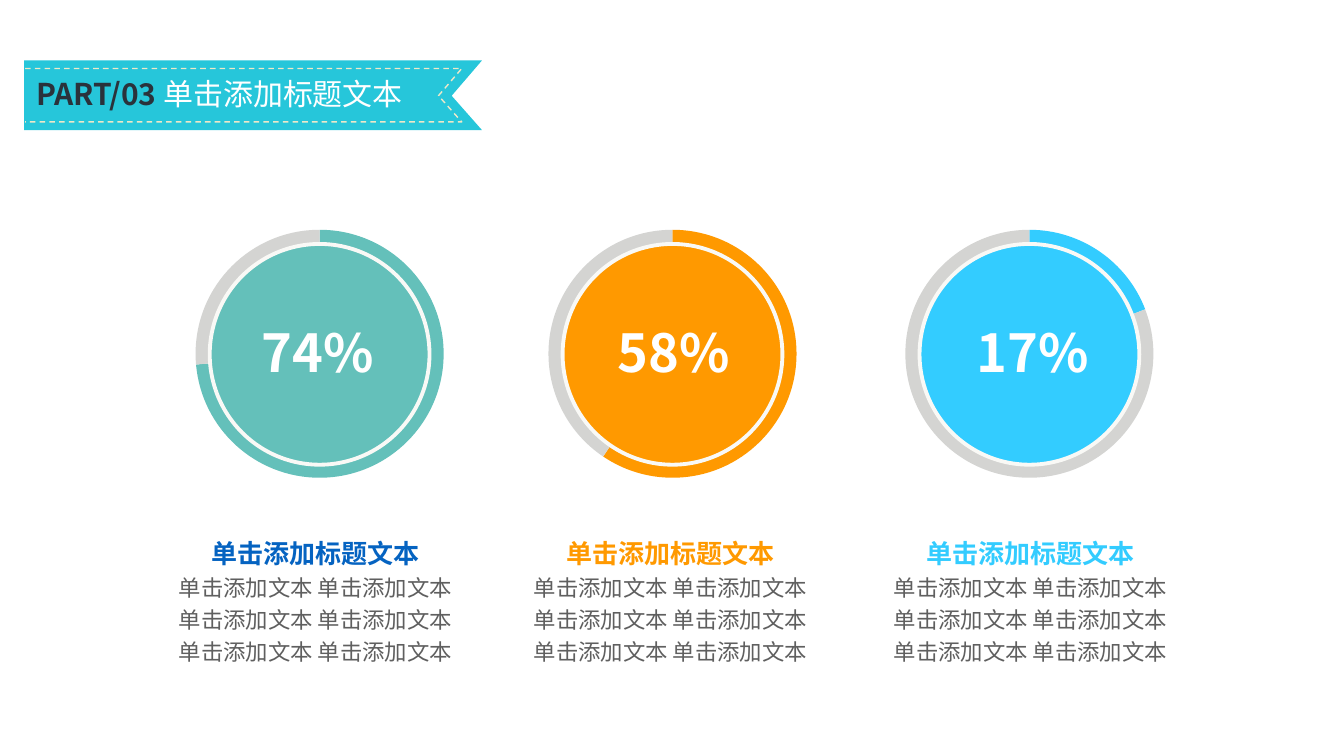
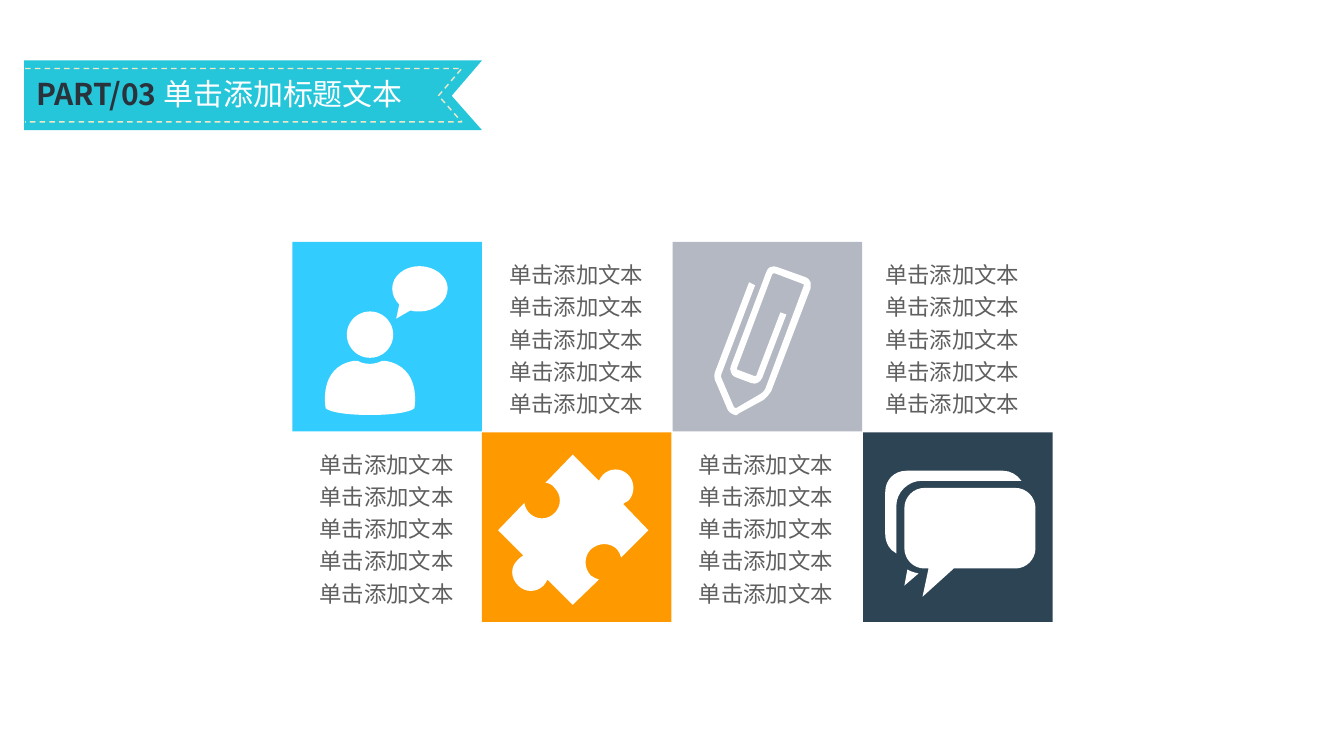
from itertools import pairwise
from math import cos, radians, sin, tan

from lxml.etree import SubElement
from pptx import Presentation
from pptx.dml.color import RGBColor
from pptx.enum.dml import MSO_LINE
from pptx.enum.shapes import MSO_SHAPE
from pptx.enum.text import MSO_ANCHOR, MSO_AUTO_SIZE, PP_ALIGN
from pptx.oxml.ns import qn
from pptx.util import Pt

PX = 9144
COLORS = {
    "ribbon": "26C6DA", "stitch": "EDE8C8", "ink": "2A323B", "white": "FFFFFF",
    "teal": "64C0BA", "orange": "FF9900", "sky": "33CCFF", "blue": "0563C1",
    "track": "D4D4D2", "rim": "F9F9F6", "body": "5F5F5F", "navy": "2D4454", "gray": "B3B8C2",
}
CJK = "Noto Sans CJK SC"
LATIN = "Arial"
TITLE = "单击添加标题文本"
LINE = "单击添加文本"

# Outlines start with a point; two numbers make a line, six make a curve.
SPEECH = [
    (416, 264), (401, 264, 389, 274, 389, 286), (389, 293, 392, 298, 396, 302),
    (393, 316), (407, 308), (410, 309, 413, 309, 416, 309),
    (431, 309, 444, 299, 444, 286), (444, 274, 431, 264, 416, 264),
]
SHOULDERS = [
    (382, 358), (379, 358), (375, 360, 371, 361, 367, 361), (362, 361, 358, 360, 355, 358),
    (351, 358), (315, 364, 323, 405, 323, 405), (332, 414, 402, 414, 411, 405),
    (411, 405, 419, 364, 382, 358),
]
PUZZLE = [
    (598, 471), (596, 473, 595, 475, 594, 477), (568, 451), (541, 479),
    (544, 479, 548, 481, 550, 484), (557, 491, 557, 502, 550, 509),
    (543, 516, 532, 516, 525, 509), (522, 506, 521, 503, 520, 499), (494, 526), (519, 551),
    (517, 552, 515, 554, 514, 555), (506, 562, 506, 573, 514, 581),
    (521, 588, 532, 588, 539, 581), (541, 579, 542, 577, 543, 575), (568, 600), (594, 575),
    (591, 574, 589, 573, 586, 571), (579, 564, 579, 552, 586, 545),
    (594, 538, 605, 538, 612, 545), (614, 547, 615, 550, 616, 553), (643, 526), (618, 500),
    (619, 499, 621, 498, 623, 497), (630, 490, 630, 478, 623, 471),
    (616, 464, 605, 464, 598, 471),
]
FRONT_BUBBLE = [
    (1007, 484), (917, 484), (906, 484, 897, 493, 897, 504), (897, 544),
    (897, 555, 906, 564, 917, 564), (921, 564), (915, 592), (946, 564), (1007, 564),
    (1018, 564, 1027, 555, 1027, 544), (1027, 504), (1027, 493, 1018, 484, 1007, 484),
]
BACK_BUBBLE = [
    (889, 502), (889, 488, 901, 477, 914, 477), (1013, 477), (1009, 471, 1002, 467, 995, 467),
    (899, 467), (887, 467, 878, 476, 878, 488), (878, 530), (878, 539, 883, 546, 889, 549),
]
BACK_TAIL = [(897, 581), (911, 569), (907, 568, 903, 567, 900, 565)]
CLIP = [
    (730, 412), (729, 412, 728, 411, 727, 411), (725, 410, 723, 409, 722, 407), (710, 379),
    (708, 376, 708, 370, 710, 367), (743, 280), (749, 283), (716, 370),
    (715, 371, 715, 375, 716, 376), (728, 404), (730, 405), (754, 391),
    (756, 390, 758, 388, 759, 386), (797, 284), (798, 283, 797, 282, 797, 282), (768, 271),
    (766, 272), (731, 365), (730, 366, 731, 367, 732, 367), (748, 373), (750, 373),
    (774, 310), (780, 312), (756, 375), (754, 379, 750, 382, 745, 380), (729, 374),
    (727, 373, 725, 371, 725, 369), (724, 367, 724, 365, 725, 363), (760, 270),
    (761, 267, 762, 266, 764, 265), (766, 264, 769, 264, 771, 265), (799, 275),
    (801, 276, 803, 277, 804, 280), (804, 282, 804, 284, 804, 286), (765, 388),
    (763, 391, 760, 395, 757, 397), (733, 410), (732, 411, 731, 412, 730, 412),
]


def ring_part(center, middle, start, end):
    """Outline of a ring between two clockwise angles from the top."""
    stops = [start] + [turn for turn in (90, 180, 270) if start < turn < end] + [end]

    def spot(radius, angle, lean=0.0):
        x, y = sin(radians(angle)), -cos(radians(angle))
        return center + radius * (x - lean * y), middle + radius * (y + lean * x)

    steps = [spot(123, start)]
    for radius, angles in ((123, stops), (102, stops[::-1])):
        if radius == 102:
            steps.append(spot(radius, end))
        for first, last in pairwise(angles):
            lean = 4 / 3 * tan(radians(last - first) / 4)
            steps.append(spot(radius, first, lean) + spot(radius, last, -lean) + spot(radius, last))
    return steps


class Slides:
    def __init__(self):
        self.deck = Presentation()
        self.deck.slide_width = 1333 * PX
        self.deck.slide_height = 750 * PX
        self.page = None

    def color(self, name):
        return RGBColor.from_string(COLORS[name])

    def paint(self, shape, fill=None, line=None, width=1):
        shape.shadow.inherit = False
        if fill:
            shape.fill.solid()
            shape.fill.fore_color.rgb = self.color(fill)
        else:
            shape.fill.background()
        if line:
            shape.line.color.rgb = self.color(line)
            shape.line.width = Pt(width)
        else:
            shape.line.fill.background()
        return shape

    def shape(self, kind, left, top, width, height, fill, line=None, weight=1):
        shape = self.page.shapes.add_shape(kind, left * PX, top * PX, width * PX, height * PX)
        return self.paint(shape, fill, line, weight)

    def outline(self, steps, fill=None, line=None):
        ends = [(step[-2] * PX, step[-1] * PX) for step in steps]
        builder = self.page.shapes.build_freeform(*ends[0], scale=1.0)
        builder.add_line_segments(ends[1:], close=fill is not None)
        shape = builder.convert_to_shape()
        segments = list(shape.element.iter(qn("a:lnTo")))
        for segment, step in zip(segments, steps[1:]):
            if len(step) == 6:
                segment.tag = qn("a:cubicBezTo")
                for index in (2, 0):
                    point = segment.makeelement(qn("a:pt"))
                    point.set("x", str(round(step[index] * PX) - shape.left))
                    point.set("y", str(round(step[index + 1] * PX) - shape.top))
                    segment.insert(0, point)
        return self.paint(shape, fill, line)

    def span(self, para, text, size, color, font=CJK, bold=False):
        span = para.add_run()
        span.text = text
        span.font.size = Pt(size)
        span.font.bold = bold
        span.font.name = font
        span.font.color.rgb = self.color(color)
        SubElement(span._r.get_or_add_rPr(), qn("a:ea")).set("typeface", CJK)

    def text(self, left, top, width, height, lines, spacing=None):
        box = self.page.shapes.add_textbox(left * PX, top * PX, width * PX, height * PX)
        frame = box.text_frame
        frame.word_wrap = False
        frame.auto_size = MSO_AUTO_SIZE.SHAPE_TO_FIT_TEXT
        for index, line in enumerate(lines):
            para = frame.add_paragraph() if index else frame.paragraphs[0]
            para.alignment = PP_ALIGN.CENTER
            if spacing:
                para.line_spacing = spacing
            self.span(para, *line)

    def add_page(self, part, title):
        self.page = self.deck.slides.add_slide(self.deck.slide_layouts[5])
        self.outline([(478, 129), (24, 129), (24, 60), (478, 60), (448, 95)], "ribbon")
        stitch = self.outline([(25, 68), (458, 68), (435, 95), (458, 121), (25, 121)], line="stitch")
        stitch.line.dash_style = MSO_LINE.DASH
        box = self.page.shapes.title
        self.page.shapes.element.append(box.element)
        box.left, box.top, box.width, box.height = 26 * PX, 70 * PX, 399 * PX, 46 * PX
        frame = box.text_frame
        frame.auto_size = MSO_AUTO_SIZE.SHAPE_TO_FIT_TEXT
        frame.word_wrap = False
        frame.vertical_anchor = MSO_ANCHOR.TOP
        para = frame.paragraphs[0]
        para.alignment = PP_ALIGN.LEFT
        self.span(para, part + " ", 21.4, "ink", bold=True)
        self.span(para, title, 21.4, "white", LATIN)

    def gauge(self, center, sweep, fill):
        self.outline(ring_part(center, 351, 0, sweep), fill)
        self.outline(ring_part(center, 351, sweep, 360), "track")
        self.shape(MSO_SHAPE.OVAL, center - 109, 242, 218, 219, fill, "rim", 2.75)


def build_gauges(slides):
    slides.add_page("PART/03", TITLE)
    columns = [
        (317, 265, "teal", "74%", 249, "blue", 165),
        (667, 214, "orange", "58%", 602, "orange", 517),
        (1021, 69, "sky", "17%", 958, "sky", 874),
    ]
    for center, sweep, fill, label, label_left, heading, text_left in columns:
        slides.gauge(center, sweep, fill)
        slides.text(label_left, 313, 133, 73, [(label, 37.4, "white", CJK, True)])
        lines = [(TITLE, 18.6, heading, LATIN, True)]
        lines += [(f"{LINE} {LINE}", 16, "body", LATIN)] * 3
        slides.text(text_left, 522, 296, 145, lines, 1.2)


def build_icons(slides):
    slides.add_page("PART/03", TITLE)
    for column, fill in enumerate(("sky", "orange", "gray", "navy")):
        left, top = 290 + 566 * column // 3, 240 + 189 * (column % 2)
        slides.shape(MSO_SHAPE.RECTANGLE, left, top, 188, 188, fill)
    slides.shape(MSO_SHAPE.OVAL, 344, 309, 46, 46, "white")
    for icon in (SPEECH, SHOULDERS, PUZZLE, CLIP, FRONT_BUBBLE, BACK_BUBBLE, BACK_TAIL):
        slides.outline(icon, "white")
    for left, top in ((494, 249), (867, 249), (306, 437), (682, 437)):
        slides.text(left, top, 155, 172, [(LINE, 16, "body")] * 5, 1.2)


def main():
    slides = Slides()
    build_gauges(slides)
    build_icons(slides)
    slides.deck.save("out.pptx")


if __name__ == "__main__":
    main()
